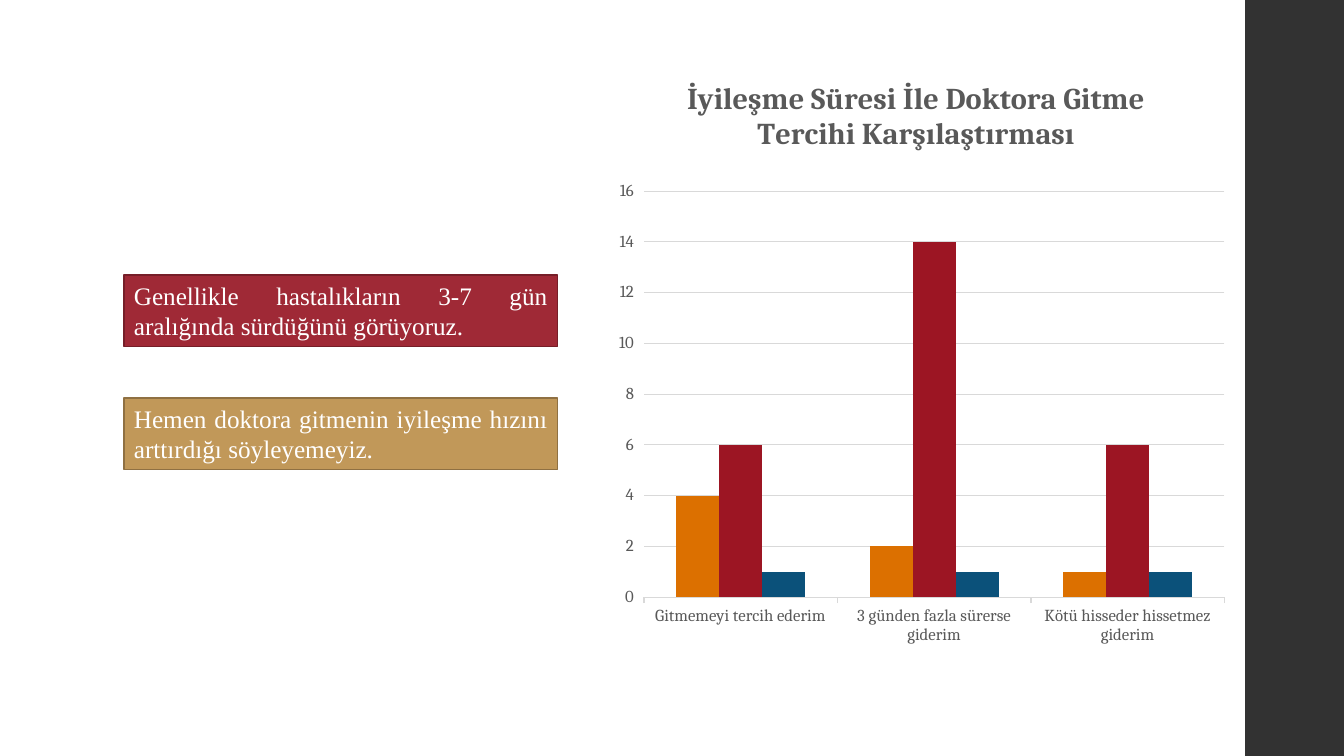
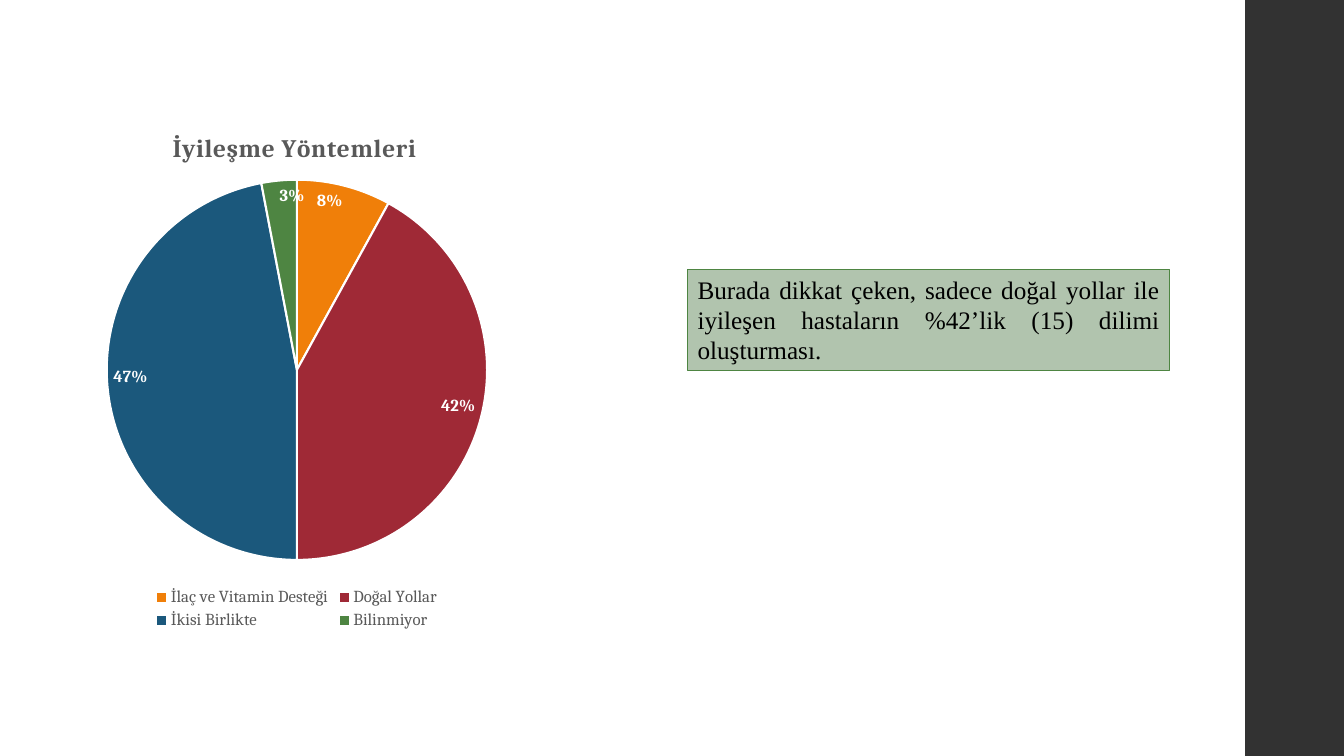
from dataclasses import dataclass

from lxml.etree import SubElement
from pptx import Presentation
from pptx.chart.chart import Chart
from pptx.chart.data import CategoryChartData
from pptx.dml.color import RGBColor
from pptx.enum.chart import XL_CHART_TYPE as ChartType
from pptx.enum.chart import XL_LABEL_POSITION as LabelPosition
from pptx.enum.chart import XL_LEGEND_POSITION as LegendPosition
from pptx.enum.chart import XL_TICK_MARK as TickMark
from pptx.enum.shapes import MSO_SHAPE as ShapeKind
from pptx.enum.text import MSO_ANCHOR as Anchor
from pptx.enum.text import MSO_AUTO_SIZE as AutoSize
from pptx.enum.text import PP_ALIGN as Align
from pptx.oxml.ns import qn
from pptx.slide import Slide, SlideLayout
from pptx.text.text import Font
from pptx.util import Inches, Pt

Box = tuple[float, float, float, float]


@dataclass(frozen=True)
class Theme:
    chart_font: str = "Cambria"
    note_font: str = "Times New Roman"
    note_size: float = 18
    label_size: float = 12
    white: str = "FFFFFF"
    black: str = "000000"
    band: str = "323232"
    grey: str = "595959"
    grid: str = "D9D9D9"
    columns: tuple[str, ...] = ("DC7000", "9C1523", "0B517A")
    slices: tuple[str, ...] = ("F07F09", "9F2936", "1B587C", "4E8542")


THEME = Theme()


@dataclass(frozen=True)
class Note:
    text: str
    box: Box
    fill: str
    outline: str
    outline_width: float
    color: str = THEME.white


@dataclass(frozen=True)
class ChartPlan:
    kind: ChartType
    box: Box
    title: str
    title_size: float
    title_spacing: int
    title_at: tuple[float, float]
    plot_at: Box
    categories: tuple[str, ...]
    series: tuple[tuple[int, ...], ...]


# Content
DOCTOR_CHART = ChartPlan(
    ChartType.COLUMN_CLUSTERED, (6.01, 0.67, 6.26, 5.84),
    "İyileşme Süresi İle Doktora Gitme Tercihi Karşılaştırması",
    21.6, 0, (0.12, 0.01), (0.06, 0.21, 0.92, 0.69),
    ("Gitmemeyi tercih ederim", "3 günden fazla sürerse giderim",
     "Kötü hisseder hissetmez giderim"),
    ((4, 2, 1), (6, 14, 6), (1, 1, 1)),
)
METHOD_CHART = ChartPlan(
    ChartType.PIE, (0.39, 1.05, 5.11, 5.24), "İyileşme Yöntemleri",
    18, 50, (0.25, 0.04), (0.13, 0.14, 0.74, 0.72),
    ("İlaç ve Vitamin Desteği", "Doğal Yollar", "İkisi Birlikte", "Bilinmiyor"),
    ((8, 42, 47, 3),),
)
DOCTOR_NOTES = (
    Note("Genellikle hastalıkların 3-7 gün aralığında sürdüğünü görüyoruz.",
         (1.23, 2.73, 4.3, 0.71), "9F2936", "761E28", 1.1),
    Note("Hemen doktora gitmenin iyileşme hızını arttırdığı söyleyemeyiz.",
         (1.23, 3.95, 4.3, 0.71), "C19859", "8F7042", 1.1),
)
METHOD_NOTES = (
    Note("Burada dikkat çeken, sadece doğal yollar ile iyileşen hastaların "
         "%42’lik (15) dilimi oluşturması.",
         (6.82, 2.67, 4.78, 1.01), "B1C4AE", "4E8542", 0.75, THEME.black),
)


def rgb(color: str) -> RGBColor:
    return RGBColor.from_string(color)


def style_font(font: Font, name: str, size: float, color: str, bold: bool = False) -> None:
    font.name, font.size, font.bold = name, Pt(size), bold
    font.color.rgb = rgb(color)


def add_rectangle(slide: Slide, box: Box, color: str):
    rectangle = slide.shapes.add_shape(ShapeKind.RECTANGLE, *map(Inches, box))
    rectangle.shadow.inherit = False
    rectangle.fill.solid()
    rectangle.fill.fore_color.rgb = rgb(color)
    return rectangle


def add_band(slide: Slide, layout: SlideLayout) -> None:
    """Draw the right-hand band and hand it to the shared layout."""
    band = add_rectangle(slide, (12.35, 0, 0.98, 7.5), THEME.band)
    band.line.fill.background()
    layout.shapes.element.append(band.element)


def add_note(slide: Slide, note: Note) -> None:
    panel = add_rectangle(slide, note.box, note.fill)
    panel.line.color.rgb = rgb(note.outline)
    panel.line.width = Pt(note.outline_width)
    frame = panel.text_frame
    frame.word_wrap = True
    frame.auto_size = AutoSize.SHAPE_TO_FIT_TEXT
    frame.vertical_anchor = Anchor.TOP
    frame.text = note.text
    paragraph = frame.paragraphs[0]
    paragraph.alignment = Align.JUSTIFY
    style_font(paragraph.runs[0].font, THEME.note_font, THEME.note_size, note.color)


def place(part, index: int, **fractions: float) -> None:
    """Give a chart part a fixed place, in fractions of the chart."""
    for old in part.findall(qn("c:layout")):
        part.remove(old)
    layout = SubElement(part, qn("c:layout"))
    part.insert(index, layout)
    manual = SubElement(layout, qn("c:manualLayout"))
    if "w" in fractions:
        SubElement(manual, qn("c:layoutTarget")).set("val", "inner")
    for mode in ("xMode", "yMode"):
        SubElement(manual, qn(f"c:{mode}")).set("val", "edge")
    for key, value in fractions.items():
        SubElement(manual, qn(f"c:{key}")).set("val", str(value))


def add_chart(slide: Slide, plan: ChartPlan) -> Chart:
    data = CategoryChartData()
    data.categories = plan.categories
    for number, values in enumerate(plan.series, 1):
        data.add_series(f"Series {number}", values)
    chart = slide.shapes.add_chart(plan.kind, *map(Inches, plan.box), data).chart
    style_font(chart.font, THEME.chart_font, THEME.label_size, THEME.grey)
    chart.has_legend = False

    # Title
    chart.has_title = True
    title = chart.chart_title
    title.include_in_layout = False
    title.text_frame.text = plan.title
    font = title.text_frame.paragraphs[0].runs[0].font
    style_font(font, THEME.chart_font, plan.title_size, THEME.grey, bold=True)
    title.text_frame.paragraphs[0].runs[0].font._element.set("spc", str(plan.title_spacing))
    place(title.element, 1, **dict(zip("xy", plan.title_at)))
    plot_area = chart.element.find(f".//{qn('c:plotArea')}")
    place(plot_area, 0, **dict(zip("xywh", plan.plot_at)))
    return chart


def style_columns(chart: Chart) -> None:
    plot = chart.plots[0]
    plot.gap_width, plot.overlap, plot.vary_by_categories = 150, 0, False
    for series, color in zip(plot.series, THEME.columns):
        series.format.fill.solid()
        series.format.fill.fore_color.rgb = rgb(color)
    for axis in (chart.category_axis, chart.value_axis):
        style_font(axis.tick_labels.font, THEME.chart_font, THEME.label_size, THEME.grey)
        axis.major_tick_mark = TickMark.OUTSIDE
    chart.category_axis.format.line.color.rgb = rgb(THEME.grid)
    chart.category_axis.format.line.width = Pt(1)
    values = chart.value_axis
    values.minimum_scale, values.maximum_scale, values.major_unit = 0, 16, 2
    values.format.line.fill.background()
    values.major_gridlines.format.line.color.rgb = rgb(THEME.grid)
    values.major_gridlines.format.line.width = Pt(0.75)


def style_pie(chart: Chart) -> None:
    plot = chart.plots[0]
    plot.vary_by_categories = True
    for index, color in enumerate(THEME.slices):
        look = plot.series[0].points[index].format
        look.fill.solid()
        look.fill.fore_color.rgb = rgb(color)
        look.line.color.rgb = rgb(THEME.white)
        look.line.width = Pt(1.5)
    plot.has_data_labels = True
    labels = plot.data_labels
    labels.show_percentage, labels.show_value = True, False
    labels.number_format, labels.number_format_is_linked = "0%", False
    labels.position = LabelPosition.INSIDE_END
    style_font(labels.font, THEME.chart_font, THEME.label_size, THEME.white, bold=True)
    chart.has_legend = True
    chart.legend.position = LegendPosition.BOTTOM
    chart.legend.include_in_layout = False
    style_font(chart.legend.font, THEME.chart_font, THEME.label_size, THEME.grey)


def main() -> None:
    deck = Presentation()
    deck.slide_width, deck.slide_height = Inches(13.33), Inches(7.5)
    blank = deck.slide_layouts[6]

    # Recovery time against the choice to see a doctor
    doctor_slide = deck.slides.add_slide(blank)
    add_band(doctor_slide, blank)
    style_columns(add_chart(doctor_slide, DOCTOR_CHART))
    for note in DOCTOR_NOTES:
        add_note(doctor_slide, note)

    # Recovery methods
    method_slide = deck.slides.add_slide(blank)
    style_pie(add_chart(method_slide, METHOD_CHART))
    for note in METHOD_NOTES:
        add_note(method_slide, note)

    deck.save("out.pptx")


if __name__ == "__main__":
    main()
